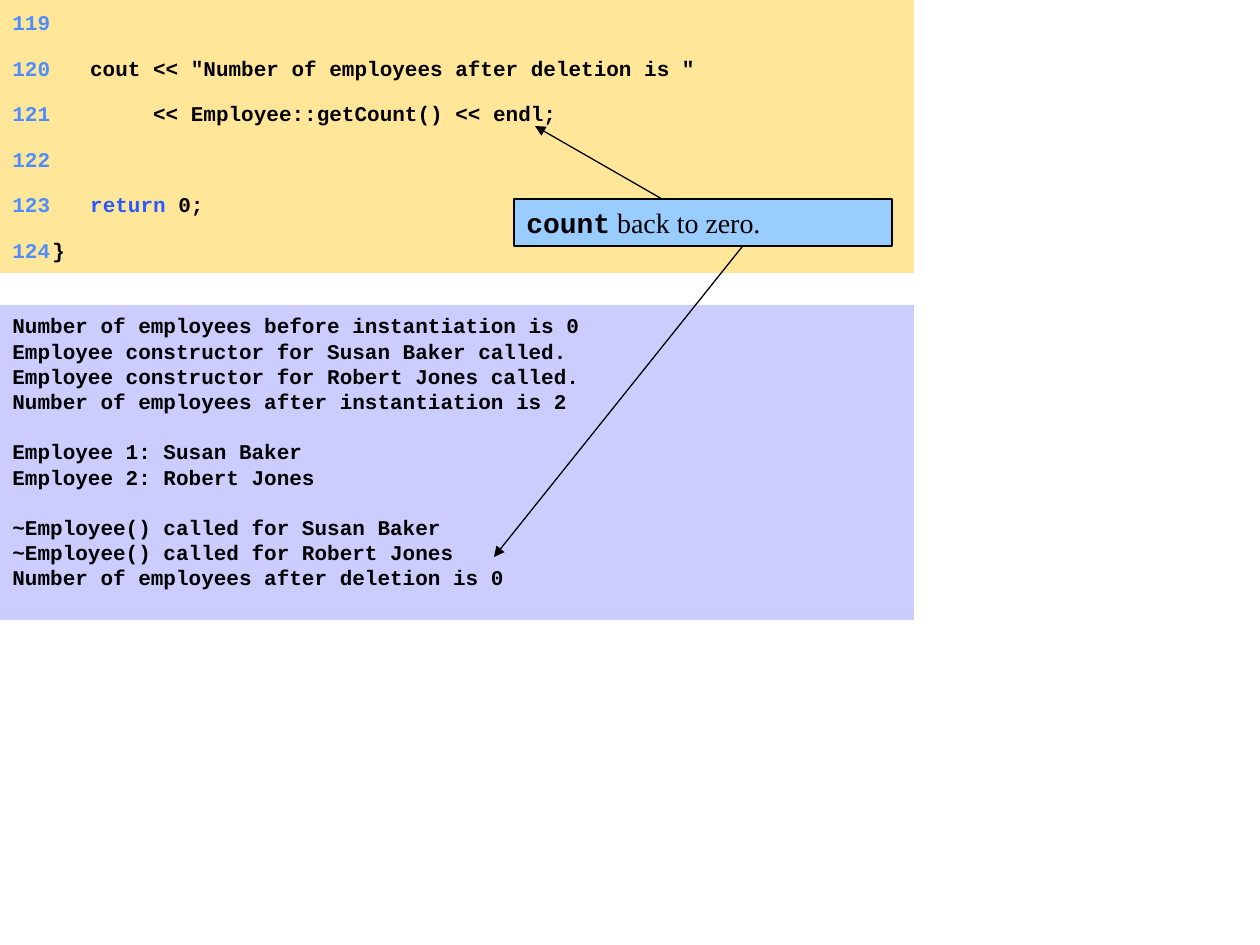
from lxml.etree import SubElement
from pptx import Presentation
from pptx.dml.color import RGBColor
from pptx.enum.shapes import MSO_CONNECTOR, MSO_SHAPE
from pptx.enum.text import MSO_ANCHOR, PP_ALIGN
from pptx.oxml.ns import qn
from pptx.util import Pt

PX = 914400 / 126
WIDE = 914
PITCH = 14.4
MONO, SERIF = "Courier New", "Times New Roman"
COLORS = {
    "code": "FFE699",
    "output": "CCCCFF",
    "note": "99CCFF",
    "number": "4D8DFF",
    "keyword": "275AFF",
    "ink": "000000",
}
CODE = [
    ("119", []),
    ("120", [('   cout << "Number of employees after deletion is "', "ink")]),
    ("121", [("        << Employee::getCount() << endl;", "ink")]),
    ("122", []),
    ("123", [("   ", "ink"), ("return", "keyword"), (" 0;", "ink")]),
    ("124", [("}", "ink")]),
]
OUTPUT = [
    [
        "Number of employees before instantiation is 0",
        "Employee constructor for Susan Baker called.",
        "Employee constructor for Robert Jones called.",
        "Number of employees after instantiation is 2",
    ],
    ["Employee 1: Susan Baker", "Employee 2: Robert Jones"],
    [
        "~Employee() called for Susan Baker",
        "~Employee() called for Robert Jones",
        "Number of employees after deletion is 0",
    ],
]


def emu(px):
    return round(px * PX)


def color(name):
    return RGBColor.from_string(COLORS[name])


def add_box(slide, left, top, width, height, fill, line=None,
            anchor=MSO_ANCHOR.MIDDLE, inset=6):
    box = slide.shapes.add_shape(
        MSO_SHAPE.RECTANGLE, emu(left), emu(top), emu(width), emu(height))
    box.shadow.inherit = False
    box.fill.solid()
    box.fill.fore_color.rgb = color(fill)
    if line:
        box.line.color.rgb = color(line)
        box.line.width = Pt(0.75)
    else:
        box.line.fill.background()
    frame = box.text_frame
    frame.word_wrap = True
    frame.vertical_anchor = anchor
    frame.margin_top = frame.margin_bottom = emu(inset)
    frame.paragraphs[0].alignment = PP_ALIGN.LEFT
    return frame


def add_text(para, text, font=MONO, size=12, fill="ink", bold=True):
    run = para.add_run()
    run.text = text
    run.font.name = font
    run.font.size = Pt(size)
    run.font.bold = bold
    run.font.color.rgb = color(fill)


def add_tab(para, px):
    stops = SubElement(para._p.get_or_add_pPr(), qn("a:tabLst"))
    SubElement(stops, qn("a:tab"), pos=str(emu(px)), algn="l")


def add_code(slide, rows, height):
    for i, (number, parts) in enumerate(rows):
        top = height * i // len(rows)
        end = height * (i + 1) // len(rows)
        para = add_box(slide, 0, top, WIDE, end - top, "code").paragraphs[0]
        add_tab(para, 40)
        add_text(para, number + "\t" if parts else number, fill="number")
        for text, fill in parts:
            add_text(para, text, fill=fill)


def add_output(slide, groups):
    frame = add_box(slide, 0, 305, WIDE, 315, "output",
                    anchor=MSO_ANCHOR.TOP, inset=8)
    para = frame.paragraphs[0]
    for g, group in enumerate(groups):
        for i, text in enumerate(group):
            if g or i:
                para = frame.add_paragraph()
            para.alignment = PP_ALIGN.LEFT
            para.line_spacing = Pt(PITCH)
            if g and not i:
                para.space_before = Pt(PITCH)
            add_text(para, text)


def add_arrow(slide, start, end):
    arrow = slide.shapes.add_connector(
        MSO_CONNECTOR.STRAIGHT, *map(emu, start + end))
    arrow.line.color.rgb = color("ink")
    arrow.line.width = Pt(0.75)
    SubElement(arrow.line._get_or_add_ln(), qn("a:tailEnd"), type="triangle")
    SubElement(arrow._element.spPr, qn("a:effectLst"))


def add_note(slide):
    frame = add_box(slide, 514, 199, 378, 47, "note", line="ink")
    para = frame.paragraphs[0]
    add_text(para, "count", size=16)
    add_text(para, " back to zero.", font=SERIF, size=16, bold=False)


def main():
    deck = Presentation()
    deck.slide_width, deck.slide_height = emu(1260), emu(945)
    slide = deck.slides.add_slide(deck.slide_layouts[6])
    add_code(slide, CODE, 273)
    add_output(slide, OUTPUT)
    add_arrow(slide, (662, 199), (535, 126))
    add_arrow(slide, (746, 242), (494, 557))
    add_note(slide)
    deck.save("out.pptx")


if __name__ == "__main__":
    main()
